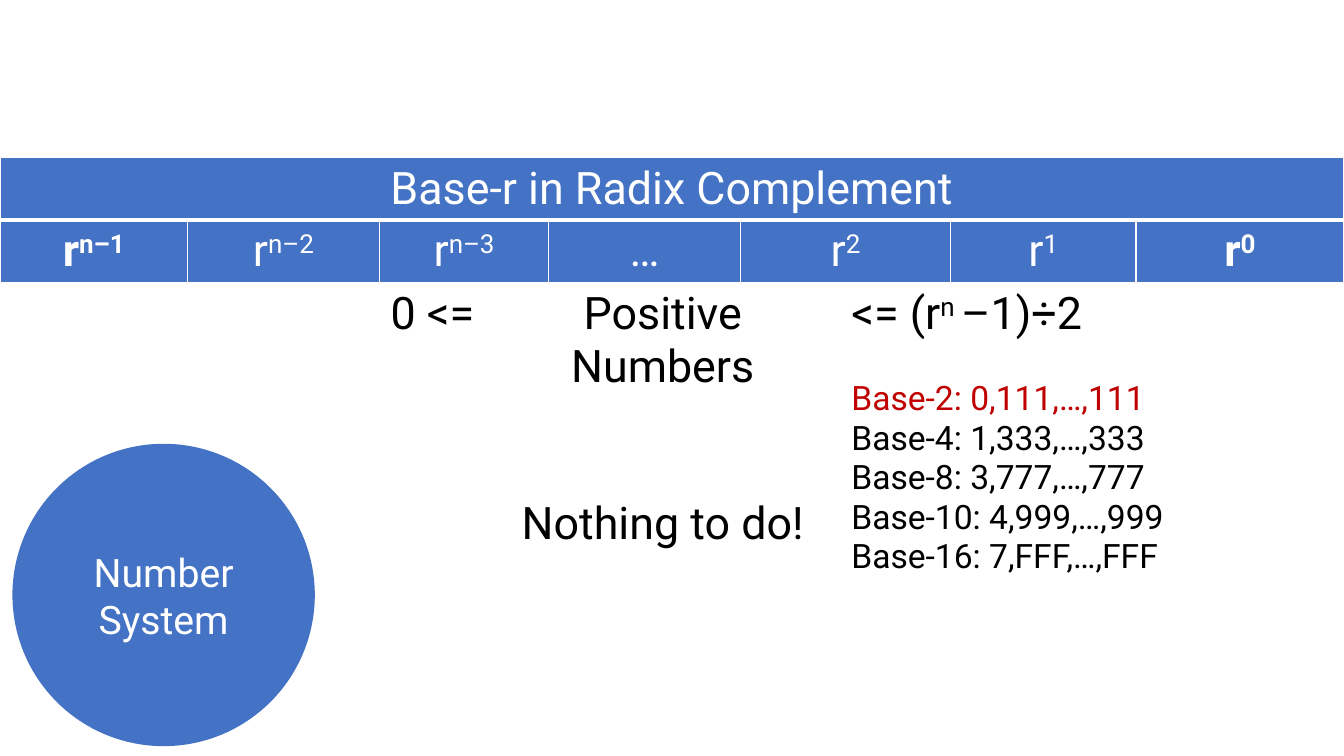
"""Build the slide on positive numbers in radix complement."""
from lxml import etree
from pptx import Presentation
from pptx.dml.color import RGBColor
from pptx.enum.shapes import MSO_SHAPE as Shape
from pptx.enum.text import MSO_ANCHOR as Anchor, PP_ALIGN as Align
from pptx.oxml.ns import qn
from pptx.util import Pt

COLORS = {"blue": "4472C4", "white": "FFFFFF", "black": "000000", "red": "C00000"}
FONT = "Roboto"
TITLE = "Base-r in Radix Complement"
POWERS = [
    (0, 1, "r", "n–1", True),
    (1, 1, "r", "n–2", False),
    (2, 2, "r", "n–3", False),
    (4, 1, "…", "", False),
    (5, 2, "r", "2", False),
    (7, 1, "r", "1", False),
    (8, 1, "r", "0", True),
]
LIMITS = [
    ("Base-2: 0,111,…,111", "red"),
    ("Base-4: 1,333,…,333", "black"),
    ("Base-8: 3,777,…,777", "black"),
    ("Base-10: 4,999,…,999", "black"),
    ("Base-16: 7,FFF,…,FFF", "black"),
]
COLUMN_WIDTHS = [134, 137, 75, 46, 137, 72, 78, 132.5, 148.5]
ROW_COUNT, ROW_HEIGHT, TABLE_TOP = 4, 29.5, 112.5
CIRCLE = (8.9, 317, 216, 216)


def add_run(paragraph, text, size=32, color="black", bold=False, raised=False):
    run = paragraph.add_run()
    run.text = text
    font = run.font
    font.name, font.size, font.bold = FONT, Pt(size), bold
    font.color.rgb = RGBColor.from_string(COLORS[color])
    if raised:
        font._element.set("baseline", "30000")


def add_paragraph(frame, align, gap):
    paragraph = frame.add_paragraph()
    paragraph.alignment = align
    paragraph.space_before = Pt(gap)
    return paragraph


def first_paragraph(frame, align):
    paragraph = frame.paragraphs[0]
    paragraph.alignment = align
    return paragraph


def merge_cells(table, row, column, span):
    cell = table.cell(row, column)
    if span > 1:
        cell.merge(table.cell(row, column + span - 1))
    return cell


def style_cell(cell, row):
    if row < 2:
        cell.fill.solid()
        cell.fill.fore_color.rgb = RGBColor.from_string(COLORS["blue"])
    else:
        cell.fill.background()
    properties = cell._tc.get_or_add_tcPr()
    for index, side in enumerate("LRTB"):
        thick = (row, side) in ((0, "B"), (1, "T"))
        line = etree.Element(qn(f"a:ln{side}"), w=str(Pt(3 if thick else 1)))
        fill = etree.SubElement(line, qn("a:solidFill"))
        etree.SubElement(fill, qn("a:srgbClr"), val=COLORS["white"])
        properties.insert(index, line)


def add_number_table(slide):
    frame = slide.shapes.add_table(
        ROW_COUNT, len(COLUMN_WIDTHS), Pt(0), Pt(TABLE_TOP),
        Pt(sum(COLUMN_WIDTHS)), Pt(ROW_COUNT * ROW_HEIGHT))
    table = frame.table
    table.first_row = table.horz_banding = False
    for column, width in zip(table.columns, COLUMN_WIDTHS):
        column.width = Pt(width)
    for row_index, row in enumerate(table.rows):
        row.height = Pt(ROW_HEIGHT)
        for cell in row.cells:
            style_cell(cell, row_index)

    title = merge_cells(table, 0, 0, len(COLUMN_WIDTHS)).text_frame
    add_run(first_paragraph(title, Align.CENTER), TITLE, color="white")
    for column, span, base, exponent, bold in POWERS:
        power = merge_cells(table, 1, column, span).text_frame
        paragraph = first_paragraph(power, Align.CENTER)
        add_run(paragraph, base, color="white", bold=bold)
        if exponent:
            add_run(paragraph, exponent, color="white", bold=bold, raised=True)

    lower, middle, upper = (
        merge_cells(table, 2, column, 3).text_frame for column in (0, 3, 6))
    add_run(first_paragraph(lower, Align.RIGHT), "0 <=")
    add_run(first_paragraph(middle, Align.CENTER), "Positive Numbers")
    add_run(add_paragraph(middle, Align.CENTER, 75), "Nothing to do!")
    bound = first_paragraph(upper, Align.LEFT)
    add_run(bound, "<= (r")
    add_run(bound, "n ", raised=True)
    add_run(bound, "–1)÷2")
    for index, (limit, color) in enumerate(LIMITS):
        paragraph = add_paragraph(upper, Align.LEFT, 0 if index else 28)
        add_run(paragraph, limit, size=24, color=color)
    merge_cells(table, 3, 0, len(COLUMN_WIDTHS))


def add_topic_circle(slide):
    circle = slide.shapes.add_shape(Shape.OVAL, *map(Pt, CIRCLE))
    circle.shadow.inherit = False
    circle.fill.solid()
    circle.fill.fore_color.rgb = RGBColor.from_string(COLORS["blue"])
    circle.line.fill.background()
    frame = circle.text_frame
    frame.word_wrap = True
    frame.vertical_anchor = Anchor.MIDDLE
    add_run(first_paragraph(frame, Align.CENTER), "Number System", 28, "white")


def main():
    presentation = Presentation()
    presentation.slide_width, presentation.slide_height = Pt(960), Pt(540)
    slide = presentation.slides.add_slide(presentation.slide_layouts[6])
    add_number_table(slide)
    add_topic_circle(slide)
    presentation.save("out.pptx")


if __name__ == "__main__":
    main()
